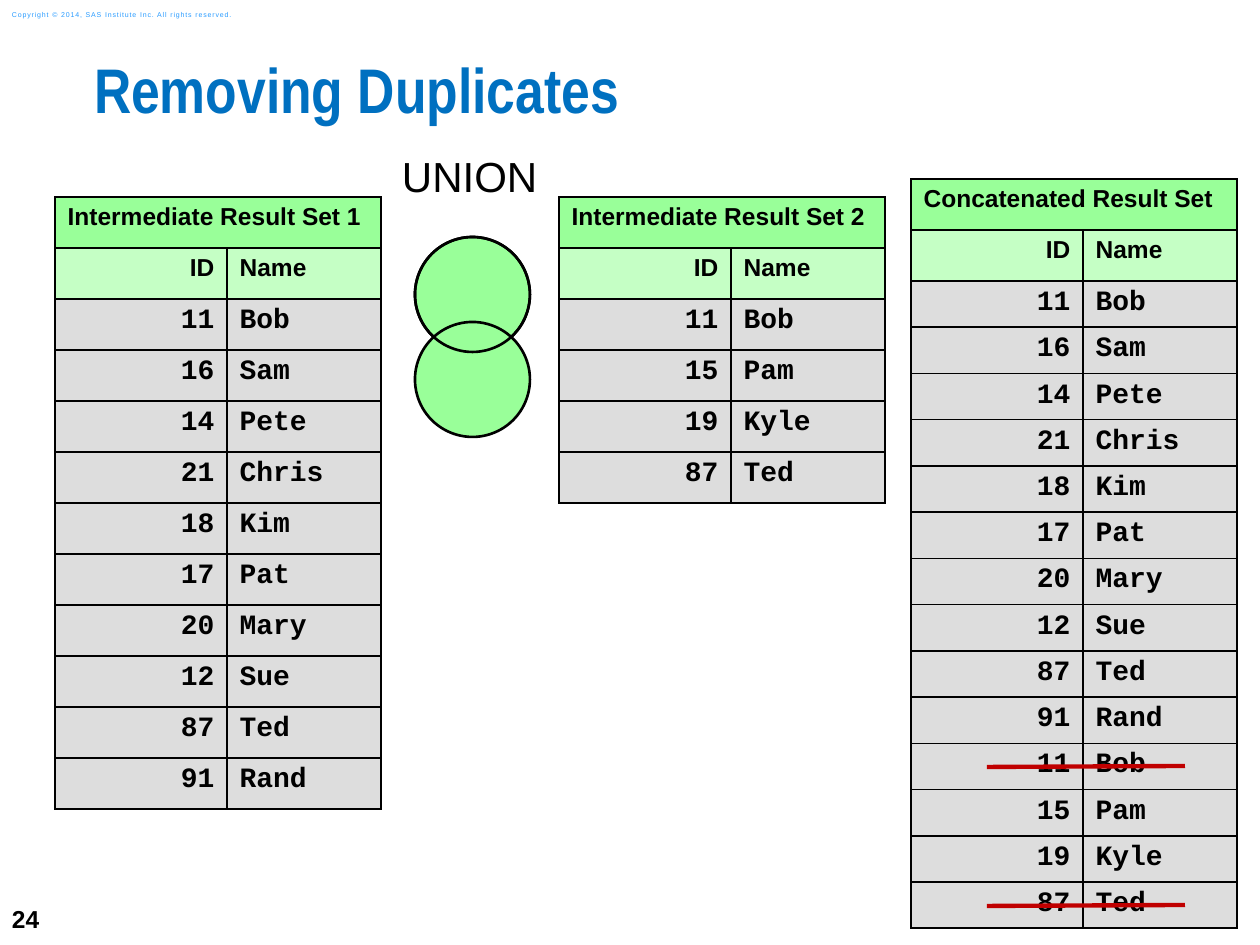
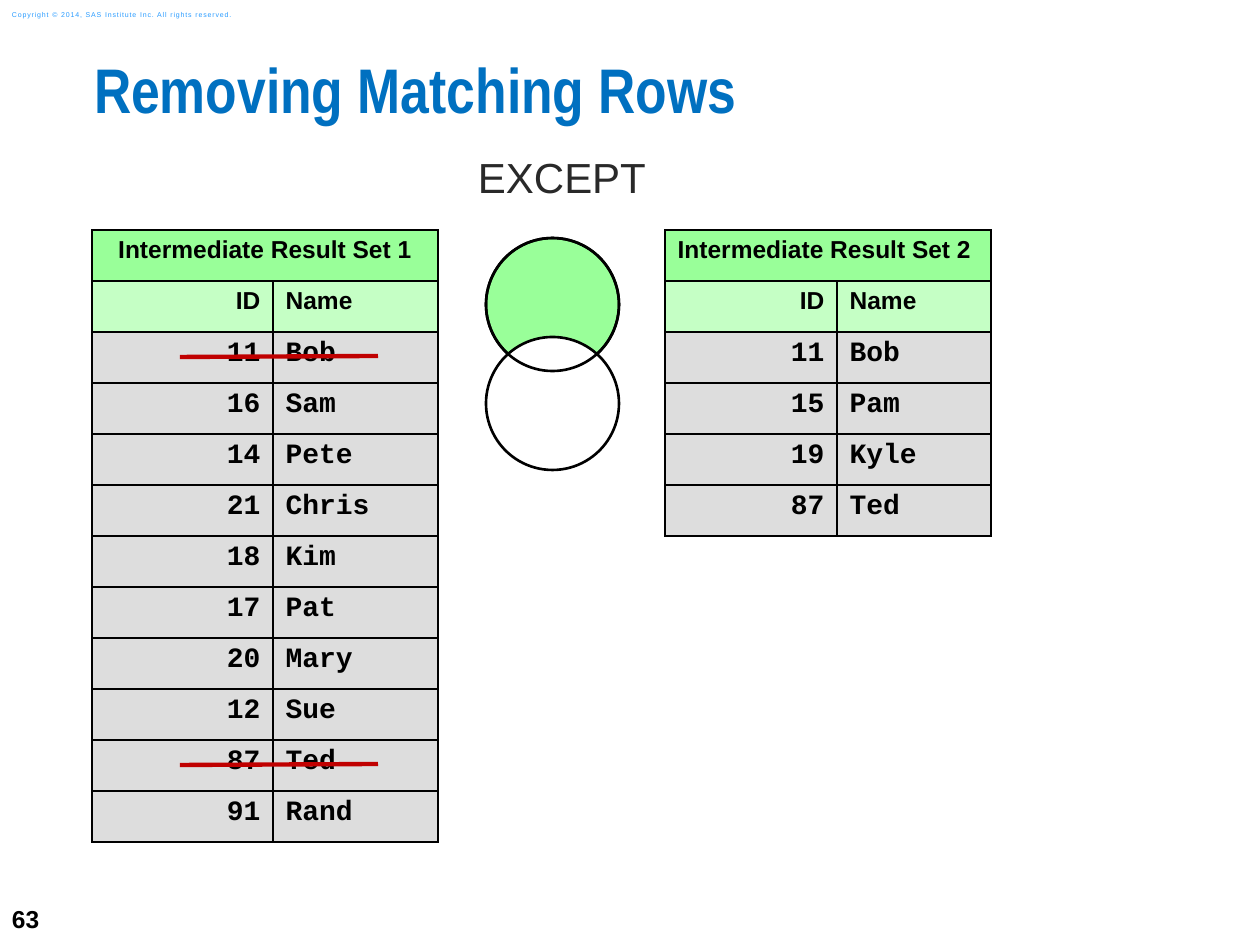
from dataclasses import dataclass

import lxml.etree
import pptx
import pptx.dml.color
import pptx.enum.shapes
import pptx.enum.text
import pptx.oxml
import pptx.oxml.ns
import pptx.presentation
import pptx.shapes.autoshape
import pptx.slide
import pptx.table
import pptx.text.text
import pptx.util

RGBColor = pptx.dml.color.RGBColor
PP_ALIGN = pptx.enum.text.PP_ALIGN
MSO_ANCHOR = pptx.enum.text.MSO_ANCHOR
MSO_SHAPE = pptx.enum.shapes.MSO_SHAPE

BLACK = RGBColor(0x00, 0x00, 0x00)
CHARCOAL = RGBColor(0x29, 0x29, 0x29)
WHITE = RGBColor(0xFF, 0xFF, 0xFF)
TITLE_BLUE = RGBColor(0x00, 0x70, 0xC0)
COPYRIGHT_BLUE = RGBColor(0x2A, 0x9C, 0xFF)
GREEN = RGBColor(0x99, 0xFF, 0x99)
PALE_GREEN = RGBColor(0xC5, 0xFF, 0xC5)
GREY = RGBColor(0xDD, 0xDD, 0xDD)
RED = RGBColor(0xC0, 0x00, 0x00)

PX_PER_INCH = 126
ROW_HEIGHT = 51
COMPACT_ROW_HEIGHT = 44
TITLE_ONLY_LAYOUT = 5
COPYRIGHT = "Copyright © 2014, SAS Institute Inc. All rights reserved."

Rows = list[tuple[int, str]]
FIRST_ROWS: Rows = [
    (11, "Bob"), (16, "Sam"), (14, "Pete"), (21, "Chris"), (18, "Kim"),
    (17, "Pat"), (20, "Mary"), (12, "Sue"), (87, "Ted"), (91, "Rand"),
]
SECOND_ROWS: Rows = [(11, "Bob"), (15, "Pam"), (19, "Kyle"), (87, "Ted")]


@dataclass(frozen=True)
class ResultSet:
    heading: str
    rows: Rows
    left: int
    top: int
    id_width: int = 172
    name_width: int = 154
    row_height: int = ROW_HEIGHT
    heading_alignment: PP_ALIGN = PP_ALIGN.LEFT


@dataclass(frozen=True)
class VennDiagram:
    left: int
    top: int
    diameter: int
    offset: int
    lower_fill: RGBColor


@dataclass(frozen=True)
class Label:
    text: str
    left: int
    top: int
    width: int
    height: int
    size: int
    color: RGBColor
    bold: bool = False
    inset: int = 0


@dataclass(frozen=True)
class Strike:
    left: int
    top: int
    width: int = 198
    rise: int = 1


@dataclass(frozen=True)
class SetOperation:
    title: str
    number: int
    operator: Label
    result_sets: list[ResultSet]
    strikes: list[Strike]
    venn: VennDiagram


OPERATIONS = [
    SetOperation(
        "Removing Duplicates", 24,
        Label("UNION", 402, 152, 150, 48, 24, BLACK),
        [
            ResultSet("Intermediate Result Set 1", FIRST_ROWS, 55, 197),
            ResultSet("Intermediate Result Set 2", SECOND_ROWS, 559, 197),
            ResultSet("Concatenated Result Set", FIRST_ROWS + SECOND_ROWS, 911, 179,
                      row_height=COMPACT_ROW_HEIGHT),
        ],
        [Strike(987, 767), Strike(987, 906)],
        VennDiagram(415, 237, 115, 85, GREEN),
    ),
    SetOperation(
        "Removing Matching Rows", 63,
        Label("EXCEPT", 478, 153, 190, 48, 24, CHARCOAL),
        [
            ResultSet("Intermediate Result Set 1", FIRST_ROWS, 92, 230, 181, 165,
                      heading_alignment=PP_ALIGN.CENTER),
            ResultSet("Intermediate Result Set 2", SECOND_ROWS, 665, 230),
        ],
        [Strike(180, 357), Strike(180, 765)],
        VennDiagram(486, 238, 133, 99, WHITE),
    ),
]


def px(length: int) -> pptx.util.Emu:
    return pptx.util.Emu(round(length * pptx.util.Inches(1) / PX_PER_INCH))


def style_paragraph(paragraph: pptx.text.text._Paragraph, name: str, size: int,
                    color: RGBColor, bold: bool) -> None:
    paragraph.font.name = name
    paragraph.font.size = pptx.util.Pt(size)
    paragraph.font.color.rgb = color
    paragraph.font.bold = bold


def set_margins(frame: pptx.text.text.TextFrame, horizontal: int, vertical: int) -> None:
    frame.margin_left = frame.margin_right = px(horizontal)
    frame.margin_top = frame.margin_bottom = px(vertical)


def add_title(slide: pptx.slide.Slide, text: str) -> None:
    title = slide.shapes.title
    title.left, title.top, title.width, title.height = px(94), px(63), px(1166), px(93)
    frame = title.text_frame
    frame.text = text
    frame.word_wrap = True
    frame.auto_size = pptx.enum.text.MSO_AUTO_SIZE.NONE
    frame.vertical_anchor = MSO_ANCHOR.TOP
    set_margins(frame, 0, 0)
    paragraph = frame.paragraphs[0]
    paragraph.alignment = PP_ALIGN.LEFT
    paragraph.line_spacing = 0.83
    style_paragraph(paragraph, "Arial Narrow", 36, TITLE_BLUE, True)


def add_label(slide: pptx.slide.Slide, label: Label) -> pptx.text.text._Paragraph:
    box = slide.shapes.add_textbox(px(label.left), px(label.top),
                                   px(label.width), px(label.height))
    frame = box.text_frame
    frame.text = label.text
    frame.word_wrap = True
    frame.vertical_anchor = MSO_ANCHOR.MIDDLE
    set_margins(frame, label.inset, label.inset // 2)
    paragraph = frame.paragraphs[0]
    style_paragraph(paragraph, "Arial", label.size, label.color, label.bold)
    return paragraph


def add_footers(slide: pptx.slide.Slide, number: int) -> None:
    add_label(slide, Label(str(number), 0, 892, 73, 53, 14, BLACK, True, 12))
    notice = add_label(slide, Label(COPYRIGHT, 0, 4, 266, 21, 4, COPYRIGHT_BLUE, inset=12))
    notice.runs[0]._r.get_or_add_rPr().set("spc", "50")


def add_borders(cell: pptx.table._Cell) -> None:
    properties = cell._tc.get_or_add_tcPr()
    for side in ("lnL", "lnR", "lnT", "lnB"):
        properties.append(pptx.oxml.parse_xml(
            f'<a:{side} {pptx.oxml.ns.nsdecls("a")} w="{pptx.util.Pt(1)}">'
            f'<a:solidFill><a:srgbClr val="{BLACK}"/></a:solidFill></a:{side}>'))


def fill_cell(cell: pptx.table._Cell, text: str, fill: RGBColor, name: str, size: int,
              alignment: PP_ALIGN) -> None:
    add_borders(cell)
    cell.fill.solid()
    cell.fill.fore_color.rgb = fill
    cell.text = text
    paragraph = cell.text_frame.paragraphs[0]
    paragraph.alignment = alignment
    style_paragraph(paragraph, name, size, BLACK, True)


def add_result_set(slide: pptx.slide.Slide, result: ResultSet) -> None:
    heights = [ROW_HEIGHT] * 2 + [result.row_height] * len(result.rows)
    widths = (result.id_width, result.name_width)
    table = slide.shapes.add_table(
        len(heights), len(widths), px(result.left), px(result.top),
        px(sum(widths)), px(sum(heights))).table
    for column, width in zip(table.columns, widths):
        column.width = px(width)
    for row, height in zip(table.rows, heights):
        row.height = px(height)
    table.cell(0, 0).merge(table.cell(0, 1))
    for column, text in enumerate((result.heading, "")):
        fill_cell(table.cell(0, column), text, GREEN, "Arial", 14, result.heading_alignment)
    for index, values in enumerate([("ID", "Name"), *result.rows], start=1):
        style = (PALE_GREEN, "Arial", 14) if index == 1 else (GREY, "Courier New", 16)
        for column, alignment in enumerate((PP_ALIGN.RIGHT, PP_ALIGN.LEFT)):
            fill_cell(table.cell(index, column), str(values[column]), *style, alignment)


def add_strike(slide: pptx.slide.Slide, strike: Strike) -> None:
    connector = slide.shapes.add_connector(
        pptx.enum.shapes.MSO_CONNECTOR.STRAIGHT, px(strike.left), px(strike.top),
        px(strike.left + strike.width), px(strike.top - strike.rise))
    connector.line.color.rgb = RED
    connector.line.width = pptx.util.Pt(2.5)
    lxml.etree.SubElement(connector._element.spPr, pptx.oxml.ns.qn("a:effectLst"))


def add_venn(slide: pptx.slide.Slide, venn: VennDiagram) -> None:
    group = slide.shapes.add_group_shape()
    circles = ((0, GREEN), (venn.offset, venn.lower_fill), (0, None))
    for offset, fill in circles:
        circle = group.shapes.add_shape(
            MSO_SHAPE.OVAL, px(venn.left), px(venn.top + offset),
            px(venn.diameter), px(venn.diameter))
        circle.shadow.inherit = False
        circle.line.color.rgb = BLACK
        circle.line.width = pptx.util.Pt(1.5)
        if fill is None:
            circle.fill.background()
        else:
            circle.fill.solid()
            circle.fill.fore_color.rgb = fill


def add_operation(presentation: pptx.presentation.Presentation,
                  operation: SetOperation) -> None:
    slide = presentation.slides.add_slide(presentation.slide_layouts[TITLE_ONLY_LAYOUT])
    add_footers(slide, operation.number)
    add_title(slide, operation.title)
    add_label(slide, operation.operator)
    for result in operation.result_sets:
        add_result_set(slide, result)
    for strike in operation.strikes:
        add_strike(slide, strike)
    add_venn(slide, operation.venn)


def main() -> None:
    presentation = pptx.Presentation()
    presentation.slide_width = px(1260)
    presentation.slide_height = px(945)
    for operation in OPERATIONS:
        add_operation(presentation, operation)
    presentation.save("out.pptx")


if __name__ == "__main__":
    main()
